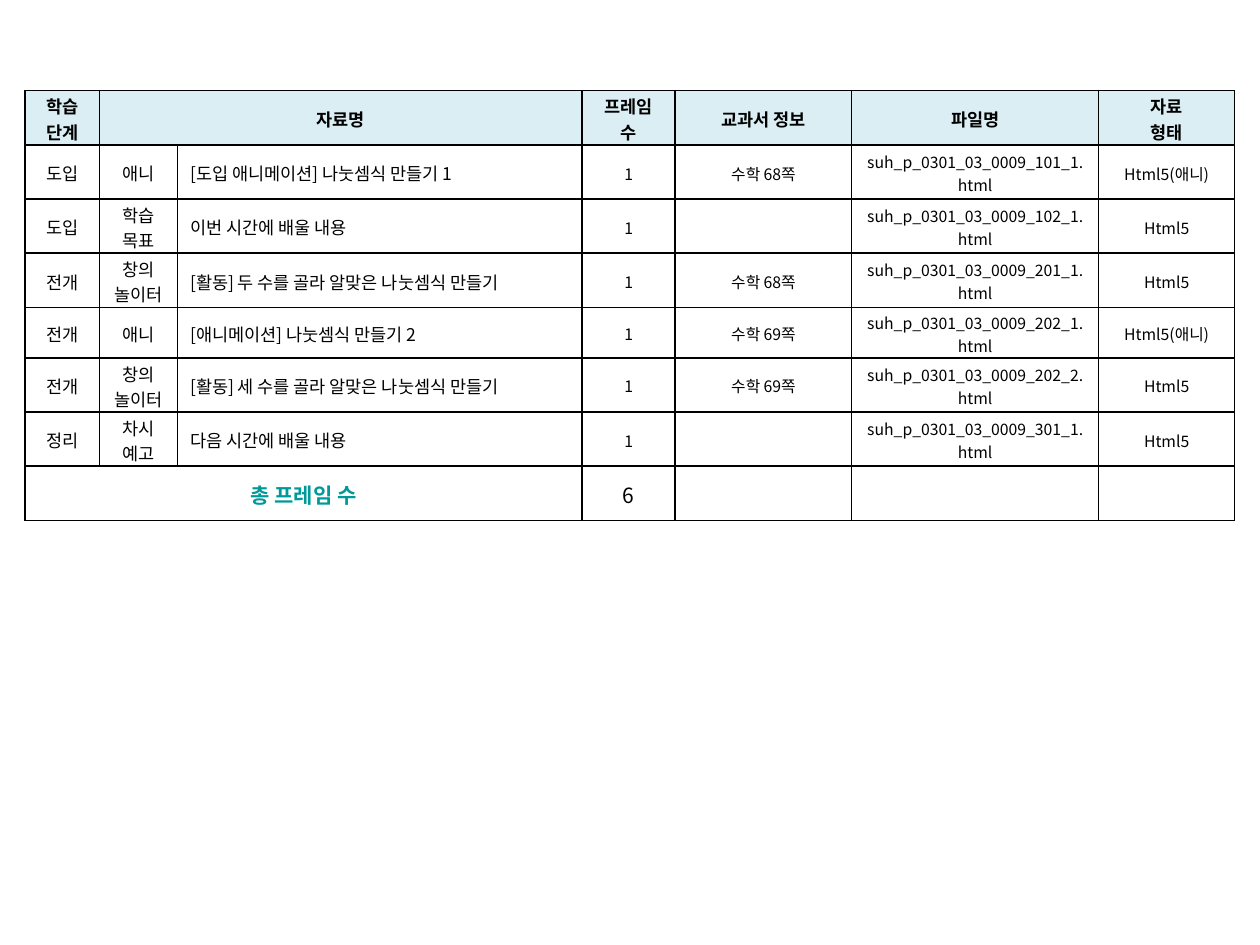
from dataclasses import dataclass

from lxml.etree import SubElement
from pptx import Presentation
from pptx.dml.color import RGBColor
from pptx.enum.text import MSO_ANCHOR as Anchor, PP_ALIGN as Align
from pptx.oxml.ns import qn
from pptx.util import Inches, Pt


@dataclass(frozen=True)
class Theme:
    font: str = "Noto Sans CJK KR"
    text: str = "000000"
    accent: str = "009999"
    header: str = "DBEEF4"
    border: str = "000000"
    border_width: float = 1
    small: float = 9
    body: float = 10
    total: float = 12


THEME = Theme()

COLUMN_WIDTHS = [0.59, 0.62, 3.21, 0.74, 1.4, 1.96, 1.08]
ROW_HEIGHTS = [0.43] * 4 + [0.4] + [0.43] * 3
TITLE_COLUMN, FRAME_COLUMN = 2, 3

HEADERS = ["학습 단계", "자료명", "", "프레임 수", "교과서 정보", "파일명", "자료\n형태"]
# Stage, kind, title, textbook page, file number, format
MATERIALS = [
    ("도입", "애니", "[도입 애니메이션] 나눗셈식 만들기 1", "수학 68쪽", "101_1", "Html5(애니)"),
    ("도입", "학습 목표", "이번 시간에 배울 내용", "", "102_1", "Html5"),
    ("전개", "창의\n놀이터", "[활동] 두 수를 골라 알맞은 나눗셈식 만들기", "수학 68쪽", "201_1", "Html5"),
    ("전개", "애니", "[애니메이션] 나눗셈식 만들기 2", "수학 69쪽", "202_1", "Html5(애니)"),
    ("전개", "창의\n놀이터", "[활동] 세 수를 골라 알맞은 나눗셈식 만들기", "수학 69쪽", "202_2", "Html5"),
    ("정리", "차시 예고", "다음 시간에 배울 내용", "", "301_1", "Html5"),
]


def write_text(cell, text, size=THEME.body, color=THEME.text, bold=False, align=Align.CENTER):
    """Fill a cell with one paragraph per line of text."""
    frame = cell.text_frame
    for index, line in enumerate(text.split("\n")):
        paragraph = frame.add_paragraph() if index else frame.paragraphs[0]
        paragraph.alignment = align
        run = paragraph.add_run()
        run.text = line
        font = run.font
        font.name, font.size, font.bold = THEME.font, Pt(size), bold
        font.color.rgb = RGBColor.from_string(color)
        properties = run._r.get_or_add_rPr()
        SubElement(properties, qn("a:ea")).set("typeface", THEME.font)


def set_borders(cell):
    properties = cell._tc.get_or_add_tcPr()
    for position, side in enumerate(("a:lnL", "a:lnR", "a:lnT", "a:lnB")):
        line = properties.makeelement(qn(side), {"w": str(Pt(THEME.border_width))})
        fill = SubElement(line, qn("a:solidFill"))
        SubElement(fill, qn("a:srgbClr")).set("val", THEME.border)
        properties.insert(position, line)


def style_cell(cell, fill=None):
    cell.vertical_anchor = Anchor.MIDDLE
    # Two lines of text need tight vertical margins to fit the row.
    cell.margin_top, cell.margin_bottom = Inches(0.02), 0
    if fill:
        cell.fill.solid()
        cell.fill.fore_color.rgb = RGBColor.from_string(fill)
    else:
        cell.fill.background()
    set_borders(cell)


def add_grid(slide):
    """Add the empty table with its sizes, fills, borders and merged cells."""
    shape = slide.shapes.add_table(
        len(ROW_HEIGHTS), len(COLUMN_WIDTHS), Inches(0.2), Inches(0.72),
        Inches(sum(COLUMN_WIDTHS)), Inches(sum(ROW_HEIGHTS)))
    table = shape.table
    table.horz_banding = False
    for column, width in zip(table.columns, COLUMN_WIDTHS):
        column.width = Inches(width)
    for index, (row, height) in enumerate(zip(table.rows, ROW_HEIGHTS)):
        row.height = Inches(height)
        for cell in row.cells:
            style_cell(cell, None if index else THEME.header)
    table.cell(0, 1).merge(table.cell(0, TITLE_COLUMN))
    last = len(ROW_HEIGHTS) - 1
    table.cell(last, 0).merge(table.cell(last, TITLE_COLUMN))
    return table


def fill_header(table):
    for column, text in enumerate(HEADERS):
        if text:
            write_text(table.cell(0, column), text, bold=True)


def fill_materials(table):
    for row, (stage, kind, title, page, number, form) in enumerate(MATERIALS, start=1):
        file_name = f"suh_p_0301_03_0009_{number}.html"
        for column, text in enumerate((stage, kind, title, "1", page, file_name, form)):
            write_text(
                table.cell(row, column), text,
                size=THEME.body if column < FRAME_COLUMN else THEME.small,
                align=Align.LEFT if column == TITLE_COLUMN else Align.CENTER)


def fill_total(table):
    row = len(ROW_HEIGHTS) - 1
    write_text(table.cell(row, 0), "총 프레임 수", size=THEME.total, color=THEME.accent, bold=True)
    write_text(table.cell(row, FRAME_COLUMN), str(len(MATERIALS)), size=THEME.total)
    for column in range(FRAME_COLUMN + 1, len(COLUMN_WIDTHS)):
        write_text(table.cell(row, column), "")


def main():
    presentation = Presentation()
    presentation.slide_width, presentation.slide_height = Inches(10), Inches(7.5)
    blank_layout = presentation.slide_layouts[6]
    slide = presentation.slides.add_slide(blank_layout)
    table = add_grid(slide)
    fill_header(table)
    fill_materials(table)
    fill_total(table)
    presentation.save("out.pptx")


if __name__ == "__main__":
    main()
